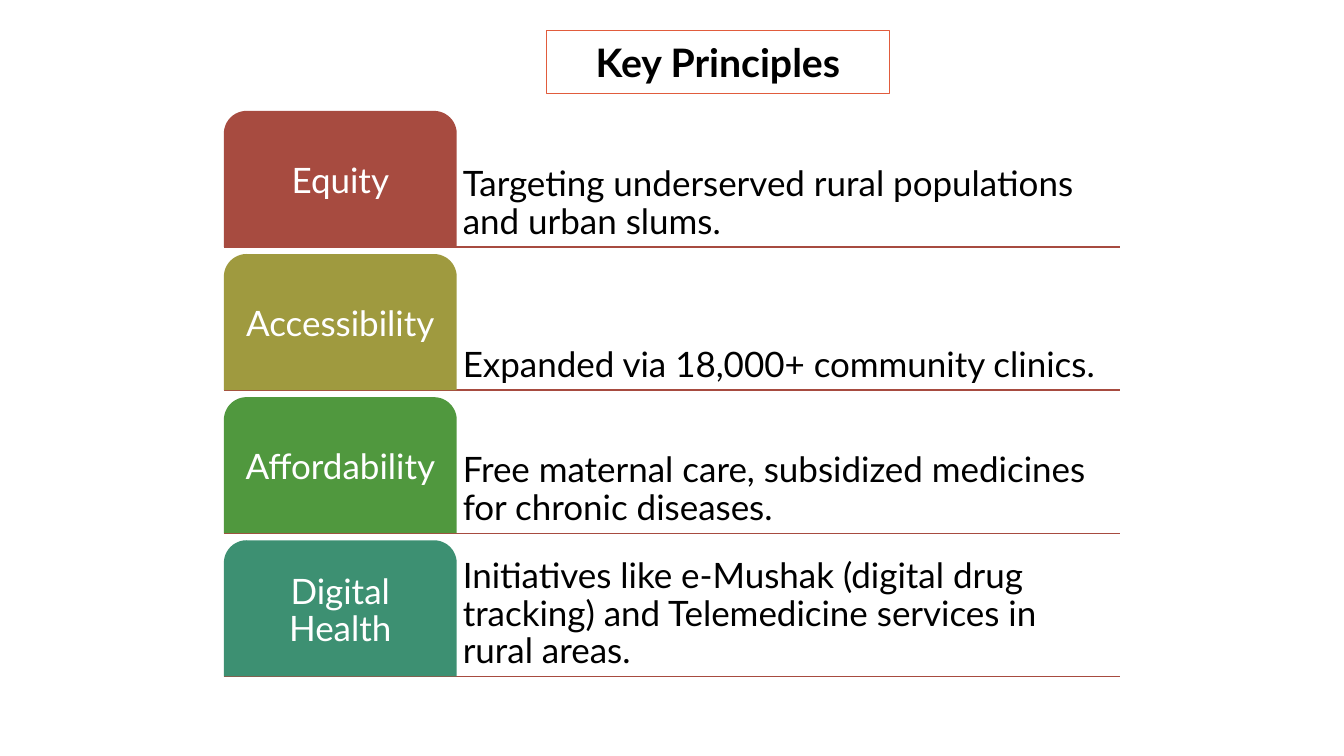
from dataclasses import dataclass

import pptx
import pptx.dml.color
import pptx.enum.shapes
import pptx.enum.text
import pptx.oxml
import pptx.oxml.ns
import pptx.util

SCALE = 9144  # EMU per px, 100 px to the inch
FONT = "Lato"
HEX = {
    "black": "000000",
    "white": "FFFFFF",
    "frame": "E15C3D",
    "red": "A74B40",
    "olive": "9F9A3F",
    "green": "50983E",
    "teal": "3D9072",
}
LEFT, TOP, RIGHT = 222, 110, 1111
PITCH, HIGH = 142, 135
TAB, BODY = 231, 454

ALIGN = pptx.enum.text.PP_ALIGN
ANCHOR = pptx.enum.text.MSO_ANCHOR
SHAPE = pptx.enum.shapes.MSO_SHAPE


@dataclass
class Row:
    name: str
    text: str
    color: str


ROWS = [
    Row("Equity", "Targeting underserved rural populations and urban slums.", "red"),
    Row("Accessibility", "Expanded via 18,000+ community clinics.", "olive"),
    Row("Affordability",
        "Free maternal care, subsidized medicines for chronic diseases.", "green"),
    Row("Digital Health",
        "Initiatives like e-Mushak (digital drug tracking) and "
        "Telemedicine services in rural areas.", "teal"),
]


def px(*sizes: int) -> list[pptx.util.Emu]:
    return [pptx.util.Emu(size * SCALE) for size in sizes]


def rgb(name: str) -> pptx.dml.color.RGBColor:
    return pptx.dml.color.RGBColor.from_string(HEX[name])


def write(shape, text: str, *, size: int = 25, color: str = "black",
          bold: bool = False, align=ALIGN.LEFT, anchor=ANCHOR.MIDDLE,
          inset: int = 5, space: float = 0.9) -> None:
    frame = shape.text_frame
    frame.word_wrap = True
    frame.auto_size = pptx.enum.text.MSO_AUTO_SIZE.NONE
    frame.vertical_anchor = anchor
    (frame.margin_left, frame.margin_top,
     frame.margin_right, frame.margin_bottom) = px(*[inset] * 4)
    para = frame.paragraphs[0]
    para.alignment = align
    para.line_spacing = space
    run = para.add_run()
    run.text = text
    run.font.name = FONT
    run.font.size = pptx.util.Pt(size)
    run.font.bold = bold
    run.font.color.rgb = rgb(color)


def stroke(line, color: str) -> None:
    line.color.rgb = rgb(color)
    line.width = pptx.util.Pt(1)


def draw_title(slide) -> None:
    title = slide.shapes.title
    title.left, title.top, title.width, title.height = px(542, 30, 340, 63)
    # A placeholder takes its outline from the layout unless given one here.
    geom = pptx.oxml.parse_xml(
        f'<a:prstGeom {pptx.oxml.ns.nsdecls("a")} prst="roundRect"><a:avLst/></a:prstGeom>')
    title.element.spPr.insert(1, geom)
    title.fill.solid()
    title.fill.fore_color.rgb = rgb("white")
    stroke(title.line, "frame")
    write(title, "Key Principles", size=28, bold=True, align=ALIGN.CENTER, space=1.0)


def draw_rule(slide, y: int) -> None:
    rule = slide.shapes.add_connector(
        pptx.enum.shapes.MSO_CONNECTOR.STRAIGHT, *px(LEFT, y, RIGHT, y))
    stroke(rule.line, "red")
    rule.element.spPr.append(pptx.oxml.parse_xml(
        f'<a:effectLst {pptx.oxml.ns.nsdecls("a")}/>'))


def draw_row(slide, row: Row, top: int) -> None:
    draw_rule(slide, top + HIGH)
    tab = slide.shapes.add_shape(
        SHAPE.ROUND_2_SAME_RECTANGLE, *px(LEFT, top, TAB, HIGH))
    tab.shadow.inherit = False
    tab.fill.solid()
    tab.fill.fore_color.rgb = rgb(row.color)
    tab.line.fill.background()
    write(tab, row.name, color="white", align=ALIGN.CENTER)
    body = slide.shapes.add_textbox(*px(BODY, top, RIGHT - BODY, HIGH))
    write(body, row.text, anchor=ANCHOR.BOTTOM)


def main() -> None:
    deck = pptx.Presentation()
    deck.slide_width, deck.slide_height = px(1333, 750)
    slide = deck.slides.add_slide(deck.slide_layouts.get_by_name("Title Only"))
    draw_title(slide)
    for i, row in enumerate(ROWS):
        draw_row(slide, row, TOP + i * PITCH)
    deck.save("out.pptx")


if __name__ == "__main__":
    main()
